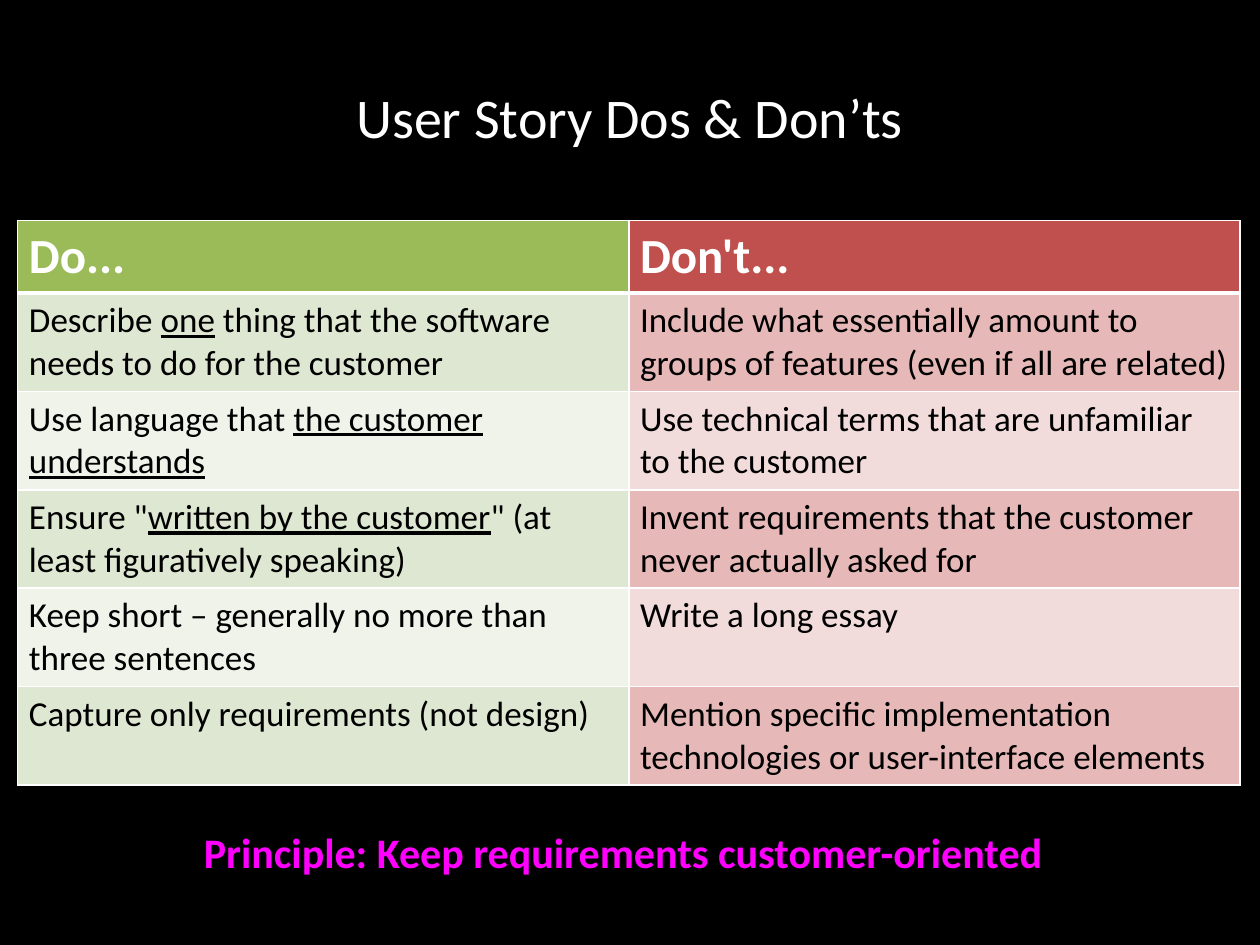
from dataclasses import dataclass

from lxml.etree import SubElement
from pptx import Presentation
from pptx.dml.color import RGBColor
from pptx.enum.text import MSO_ANCHOR, MSO_AUTO_SIZE, PP_ALIGN
from pptx.oxml.ns import qn
from pptx.util import Inches, Pt


@dataclass(frozen=True)
class Theme:
    font: str = "Calibri"
    background: str = "000000"
    light: str = "FFFFFF"
    dark: str = "000000"
    accent: str = "FF00FF"
    header_fills: tuple = ("9BBB59", "C0504D")
    band_fills: tuple = (("DEE7D1", "E6B9B8"), ("EFF3EA", "F2DCDB"))
    title_size: int = 32
    header_size: int = 28
    body_size: int = 20
    principle_size: int = 24


THEME = Theme()
WIDTH, HEIGHT = Inches(10), Inches(7.5)
COLUMN_WIDTH = Inches(4.85)
CELL_MARGIN = Inches(0.09)

# Underscores enclose underlined words
HEADERS = ("Do...", "Don't...")
ADVICE = (
    ("Describe _one_ thing that the software needs to do for the customer",
     "Include what essentially amount to groups of features (even if all are related)"),
    ("Use language that _the customer understands_",
     "Use technical terms that are unfamiliar to the customer"),
    ('Ensure "_written by the customer_" (at least figuratively speaking)',
     "Invent requirements that the customer never actually asked for"),
    ("Keep short – generally no more than three sentences",
     "Write a long essay"),
    ("Capture only requirements (not design)",
     "Mention specific implementation technologies or user-interface elements"),
)


def style_font(font, size, color, bold=False):
    font.name = THEME.font
    font.size = Pt(size)
    font.bold = bold
    font.color.rgb = RGBColor.from_string(color)


def add_marked_text(p, text, size, color, bold=False):
    for i, part in enumerate(text.split("_")):
        if part:
            r = p.add_run()
            r.text = part
            style_font(r.font, size, color, bold)
            if i % 2:
                r.font.underline = True


def set_borders(cell, bottom=1):
    """Draw the cell's borders; they must come before its fill."""
    tc_pr = cell._tc.get_or_add_tcPr()
    for side, width in (("L", 1), ("R", 1), ("T", 1), ("B", bottom)):
        ln = SubElement(tc_pr, qn(f"a:ln{side}"), w=str(Pt(width)))
        fill = SubElement(ln, qn("a:solidFill"))
        SubElement(fill, qn("a:srgbClr"), val=THEME.light)


def fill_cell(cell, text, fill, size, color, bold=False, bottom=1):
    set_borders(cell, bottom)
    cell.margin_left = cell.margin_right = CELL_MARGIN
    cell.fill.solid()
    cell.fill.fore_color.rgb = RGBColor.from_string(fill)
    add_marked_text(cell.text_frame.paragraphs[0], text, size, color, bold)


def set_title(slide, text):
    sp = slide.shapes.title
    sp.left, sp.top = int(WIDTH * 0.05), int(HEIGHT * 0.04)
    sp.width, sp.height = int(WIDTH * 0.9), Inches(1.25)
    tf = sp.text_frame
    tf.text = text
    tf.vertical_anchor = MSO_ANCHOR.MIDDLE
    p = tf.paragraphs[0]
    p.alignment = PP_ALIGN.CENTER
    style_font(p.runs[0].font, THEME.title_size, THEME.light)


def add_advice_table(slide):
    height = Inches(4.4)
    frame = slide.shapes.add_table(
        len(ADVICE) + 1, len(HEADERS), Inches(0.14), Inches(1.75),
        COLUMN_WIDTH * len(HEADERS), height)
    table = frame.table
    # Rows grow from this minimum to fit their text
    for row in table.rows:
        row.height = Inches(0.41)
    frame.height = height
    for col, text in enumerate(HEADERS):
        fill_cell(table.cell(0, col), text, THEME.header_fills[col],
                  THEME.header_size, THEME.light, bold=True, bottom=3)
    for row, pair in enumerate(ADVICE):
        fills = THEME.band_fills[row % 2]
        for col, text in enumerate(pair):
            cell = table.cell(row + 1, col)
            fill_cell(cell, text, fills[col], THEME.body_size, THEME.dark)


def add_principle(slide, text):
    sp = slide.shapes.add_textbox(Inches(1.52), Inches(6.51),
                                  Inches(6.96), Inches(0.51))
    tf = sp.text_frame
    tf.word_wrap = False
    tf.auto_size = MSO_AUTO_SIZE.SHAPE_TO_FIT_TEXT
    tf.text = text
    style_font(tf.paragraphs[0].runs[0].font, THEME.principle_size,
               THEME.accent, bold=True)


def main():
    prs = Presentation()
    prs.slide_width, prs.slide_height = WIDTH, HEIGHT
    slide = prs.slides.add_slide(prs.slide_layouts.get_by_name("Title Only"))
    slide.background.fill.solid()
    slide.background.fill.fore_color.rgb = RGBColor.from_string(THEME.background)

    set_title(slide, "User Story Dos & Don’ts")
    add_advice_table(slide)
    add_principle(slide, "Principle: Keep requirements customer-oriented")
    prs.save("out.pptx")


if __name__ == "__main__":
    main()
